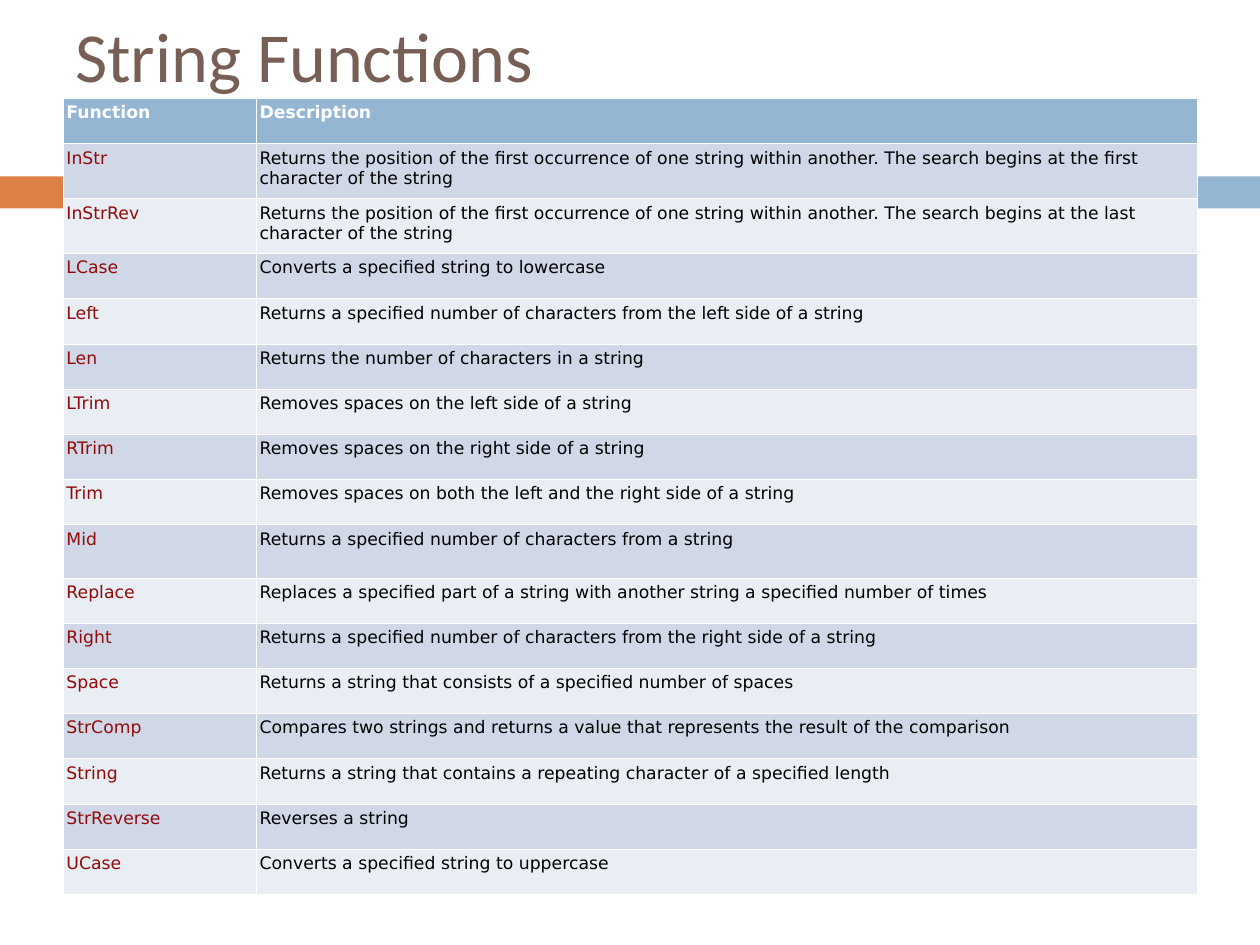
from lxml import etree
from pptx import Presentation
from pptx.dml.color import RGBColor
from pptx.enum.shapes import MSO_SHAPE
from pptx.enum.text import MSO_ANCHOR
from pptx.oxml.ns import qn
from pptx.util import Inches, Pt

RECT = MSO_SHAPE.RECTANGLE
MIDDLE = MSO_ANCHOR.MIDDLE

ORANGE, BLUE, BROWN, RED = "DD8047", "94B6D2", "775F55", "900B09"
WHITE, BLACK = "FFFFFF", "000000"
BANDS = ("D0D8E8", "E9EDF4")
THIN, THICK = 0.45, 1.47

HEADER = ("Function", "Description")
FUNCTIONS = [
    ("InStr", "Returns the position of the first occurrence of one string within another. "
              "The search begins at the first character of the string"),
    ("InStrRev", "Returns the position of the first occurrence of one string within another. "
                 "The search begins at the last character of the string"),
    ("LCase", "Converts a specified string to lowercase"),
    ("Left", "Returns a specified number of characters from the left side of a string"),
    ("Len", "Returns the number of characters in a string"),
    ("LTrim", "Removes spaces on the left side of a string"),
    ("RTrim", "Removes spaces on the right side of a string"),
    ("Trim", "Removes spaces on both the left and the right side of a string"),
    ("Mid", "Returns a specified number of characters from a string"),
    ("Replace", "Replaces a specified part of a string with another string "
                "a specified number of times"),
    ("Right", "Returns a specified number of characters from the right side of a string"),
    ("Space", "Returns a string that consists of a specified number of spaces"),
    ("StrComp", "Compares two strings and returns a value that represents "
                "the result of the comparison"),
    ("String", "Returns a string that contains a repeating character of a specified length"),
    ("StrReverse", "Reverses a string"),
    ("UCase", "Converts a specified string to uppercase"),
]
ROW_HEIGHT = 0.51
TALL_ROWS = {"InStr": 0.62, "InStrRev": 0.62, "Mid": 0.6}


def rgb(color):
    return RGBColor.from_string(color)


def add_run(p, text, font, size, color, bold=False):
    r = p.add_run()
    r.text = text
    r.font.name, r.font.size, r.font.bold = font, Pt(size), bold
    r.font.color.rgb = rgb(color)


def set_insets(target, left, top, right, bottom):
    target.margin_left, target.margin_top = Inches(left), Inches(top)
    target.margin_right, target.margin_bottom = Inches(right), Inches(bottom)


def set_borders(cell, top, bottom):
    """Draw white borders; top and bottom are line widths in points."""
    tc_pr = cell._tc.get_or_add_tcPr()
    for tag, width in (("lnL", THIN), ("lnR", THIN), ("lnT", top), ("lnB", bottom)):
        ln = etree.SubElement(tc_pr, qn(f"a:{tag}"), w=str(int(Pt(width))))
        fill = etree.SubElement(ln, qn("a:solidFill"))
        etree.SubElement(fill, qn("a:srgbClr"), val=WHITE)


def add_side_bars(slide, x, y, width, height):
    """Place a short orange bar and a long blue bar across the slide."""
    blue_x = x + 0.92
    for left, bar_width, color in ((x, 0.83, ORANGE), (blue_x, x + width - blue_x, BLUE)):
        sp = slide.shapes.add_shape(RECT, Inches(left), Inches(y),
                                    Inches(bar_width), Inches(height))
        sp.shadow.inherit = False
        sp.fill.solid()
        sp.fill.fore_color.rgb = rgb(color)
        sp.line.fill.background()


def add_title(slide, x, y, width, height):
    box = slide.shapes.add_textbox(Inches(x), Inches(y), Inches(width), Inches(height))
    tf = box.text_frame
    tf.word_wrap = True
    tf.vertical_anchor = MIDDLE
    set_insets(tf, 0.14, 0.18, 0.14, 0.07)
    add_run(tf.paragraphs[0], "String Functions", "Calibri", 57, BROWN)


def add_function_table(slide, x, y, width, height):
    rows = [HEADER] + FUNCTIONS
    table = slide.shapes.add_table(len(rows), len(HEADER), Inches(x), Inches(y),
                                   Inches(width), Inches(height)).table
    table.horz_banding = False
    name_width = 2.18
    table.columns[0].width = Inches(name_width)
    table.columns[1].width = Inches(width - name_width)
    for i, texts in enumerate(rows):
        is_header = i == 0
        table.rows[i].height = Inches(TALL_ROWS.get(texts[0], ROW_HEIGHT))
        colors = (WHITE, WHITE) if is_header else (RED, BLACK)
        for j, (text, color) in enumerate(zip(texts, colors)):
            cell = table.cell(i, j)
            set_insets(cell, 0.04, 0.05, 0.04, 0.05)
            set_borders(cell, THICK if i == 1 else THIN, THICK if is_header else THIN)
            cell.fill.solid()
            cell.fill.fore_color.rgb = rgb(BLUE if is_header else BANDS[(i - 1) % 2])
            add_run(cell.text_frame.paragraphs[0], text, "DejaVu Sans", 14, color, is_header)


def main():
    prs = Presentation()
    prs.slide_width, prs.slide_height = Inches(14.22), Inches(10.66)
    slide = prs.slides.add_slide(prs.slide_layouts[6])
    add_side_bars(slide, 0, 1.99, 14.22, 0.36)
    add_title(slide, 0.71, 0.22, 12.8, 0.67)
    add_function_table(slide, 0.71, 1.11, 12.8, 8.96)
    prs.save("out.pptx")


if __name__ == "__main__":
    main()
